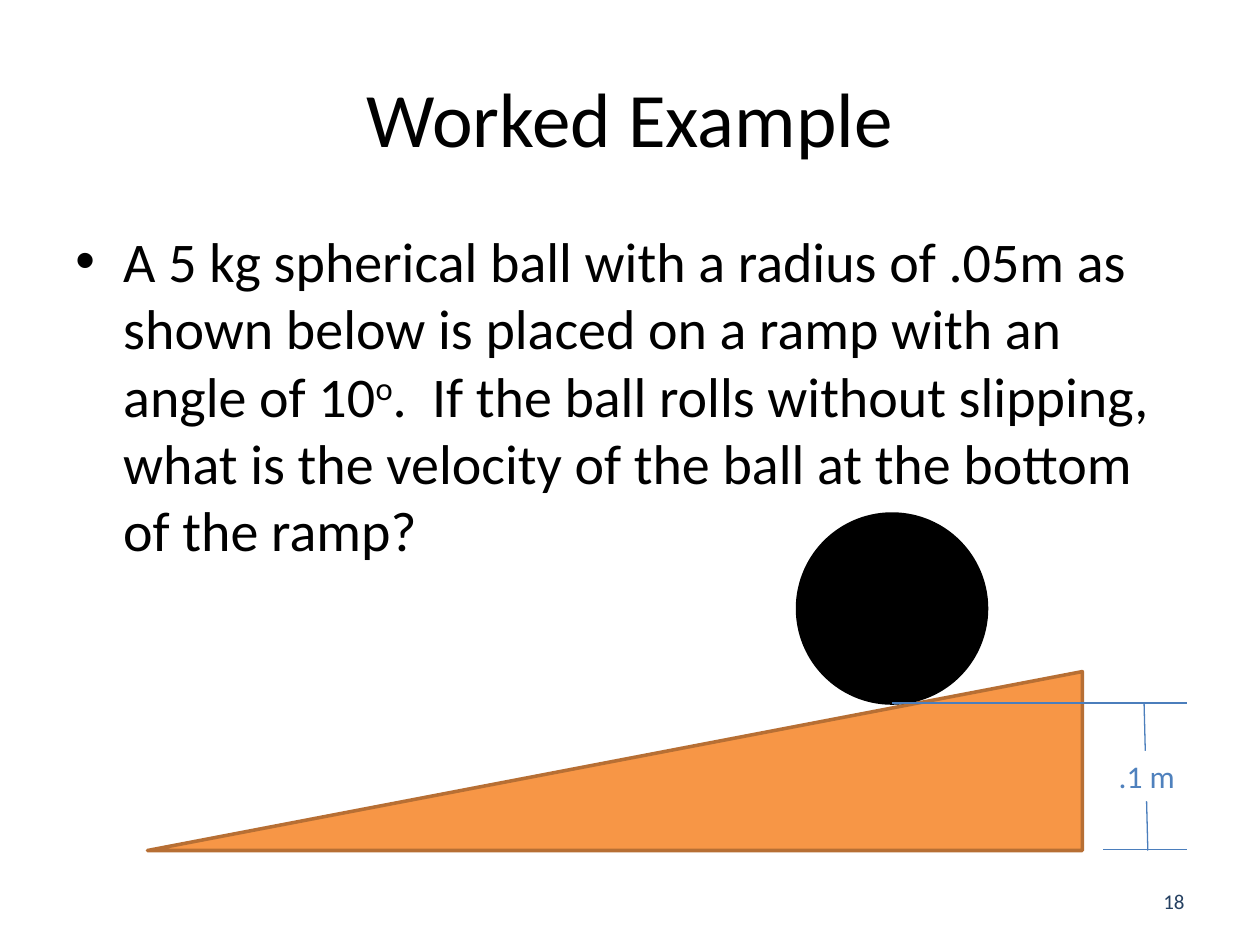
from pptx import Presentation
from pptx.dml.color import RGBColor
from pptx.enum.shapes import MSO_CONNECTOR, MSO_SHAPE
from pptx.enum.text import MSO_ANCHOR, MSO_AUTO_SIZE, PP_ALIGN
from pptx.oxml.ns import qn
from pptx.util import Inches, Pt
from lxml.etree import SubElement

# Content
TITLE = "Worked Example"
PROBLEM = [  # text, superscript
    ("A 5 kg spherical ball with a radius of .05m as shown below is placed "
     "on a ramp with an angle of 10", False),
    ("o", True),
    (".  If the ball rolls without slipping, what is the velocity of the "
     "ball at the bottom of the ramp?", False),
]
HEIGHT_LABEL = ".1 m"
PAGE_NUMBER = "18"

# Diagram geometry in inches
CONTACT_Y, BASE_Y, GUIDE_RIGHT = 5.58, 6.74, 9.42
RAMP = (1.17, 5.33, 7.42, 1.42)
BALL = (6.33, 4.08, 1.5, 1.5)
DIMENSION_LINES = [
    ((GUIDE_RIGHT, CONTACT_Y), (7.08, CONTACT_Y)),
    ((GUIDE_RIGHT, BASE_Y), (8.75, BASE_Y)),
    ((9.11, 6.75), (9.08, CONTACT_Y)),
]

THEME = {
    "font": "Calibri",
    "sizes": {"title": 44, "body": 32, "label": 18, "number": 12},
    "colors": {"text": "000000", "number": "254061", "ramp": "F79646",
               "ramp edge": "B76F34", "ball": "000000", "guide": "4B7EBC",
               "label": "4F81BD", "paper": "FFFFFF"},
}


def color(name):
    return RGBColor.from_string(THEME["colors"][name])


def style(para, size, ink="text", align=PP_ALIGN.LEFT):
    para.alignment = align
    for span in para.runs:
        span.font.name = THEME["font"]
        span.font.size = Pt(THEME["sizes"][size])
        span.font.color.rgb = color(ink)


def add_text(page, place, text=""):
    box = page.shapes.add_textbox(*map(Inches, place))
    box.text_frame.word_wrap = True
    box.text_frame.text = text
    return box


def add_solid(page, kind, place, fill, edge):
    shape = page.shapes.add_shape(kind, *map(Inches, place))
    shape.shadow.inherit = False
    shape.fill.solid()
    shape.fill.fore_color.rgb = color(fill)
    shape.line.color.rgb = color(edge)
    shape.line.width = Pt(2)
    return shape


def add_line(page, start, end):
    line = page.shapes.add_connector(
        MSO_CONNECTOR.STRAIGHT, *map(Inches, start + end))
    line.line.color.rgb = color("guide")
    line.line.width = Pt(0.75)
    SubElement(line._element.spPr, qn("a:effectLst"))


def add_problem(page):
    box = add_text(page, (0.5, 1.75, 9, 2.5))
    para = box.text_frame.paragraphs[0]
    props = para._p.get_or_add_pPr()
    props.set("marL", str(Inches(0.38)))
    props.set("indent", str(-Inches(0.38)))
    SubElement(props, qn("a:buFont")).set("typeface", "Arial")
    SubElement(props, qn("a:buChar")).set("char", "•")
    for text, raised in PROBLEM:
        span = para.add_run()
        span.text = text
        if raised:
            span._r.get_or_add_rPr().set("baseline", "30000")
    style(para, "body")


def main():
    deck = Presentation()
    deck.slide_width, deck.slide_height = Inches(10), Inches(7.5)
    page = deck.slides.add_slide(deck.slide_layouts[5])

    # Title
    title = page.shapes.title
    title.left, title.top, title.width, title.height = map(
        Inches, (0.5, 0.3, 9, 1.25))
    title.text_frame.text = TITLE
    title.text_frame.vertical_anchor = MSO_ANCHOR.MIDDLE
    style(title.text_frame.paragraphs[0], "title", align=PP_ALIGN.CENTER)

    # Problem statement and page number
    add_problem(page)
    number = add_text(page, (7.17, 6.95, 2.33, 0.4), PAGE_NUMBER)
    number.text_frame.vertical_anchor = MSO_ANCHOR.MIDDLE
    style(number.text_frame.paragraphs[0], "number", "number", PP_ALIGN.RIGHT)

    # Ball on the ramp
    ramp = add_solid(page, MSO_SHAPE.ISOSCELES_TRIANGLE, RAMP, "ramp", "ramp edge")
    ramp.adjustments[0] = 1
    add_solid(page, MSO_SHAPE.OVAL, BALL, "ball", "ball")

    # Height dimension, its label covering the middle of the line
    for start, end in DIMENSION_LINES:
        add_line(page, start, end)
    label = add_text(page, (8.78, 5.96, 0.65, 0.4), HEIGHT_LABEL)
    label.fill.solid()
    label.fill.fore_color.rgb = color("paper")
    label.text_frame.word_wrap = False
    label.text_frame.auto_size = MSO_AUTO_SIZE.SHAPE_TO_FIT_TEXT
    style(label.text_frame.paragraphs[0], "label", "label")

    deck.save("out.pptx")


if __name__ == "__main__":
    main()
